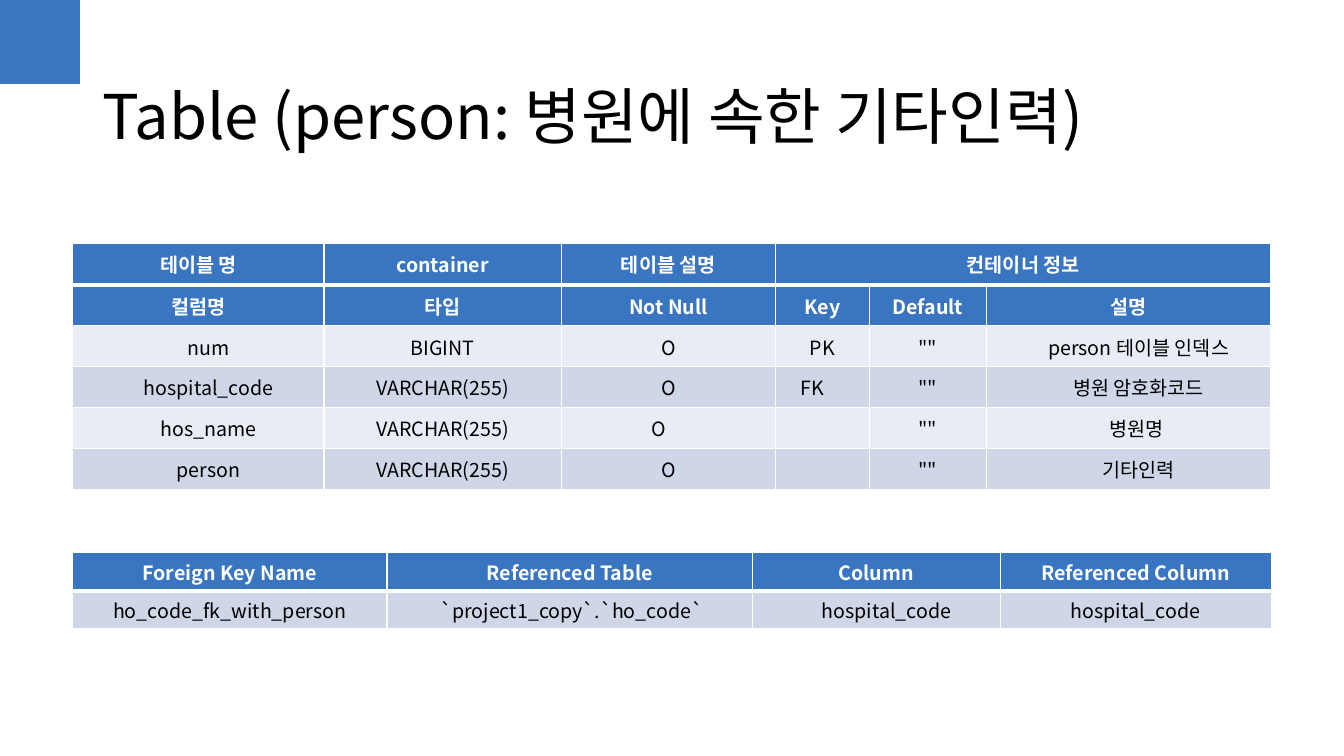
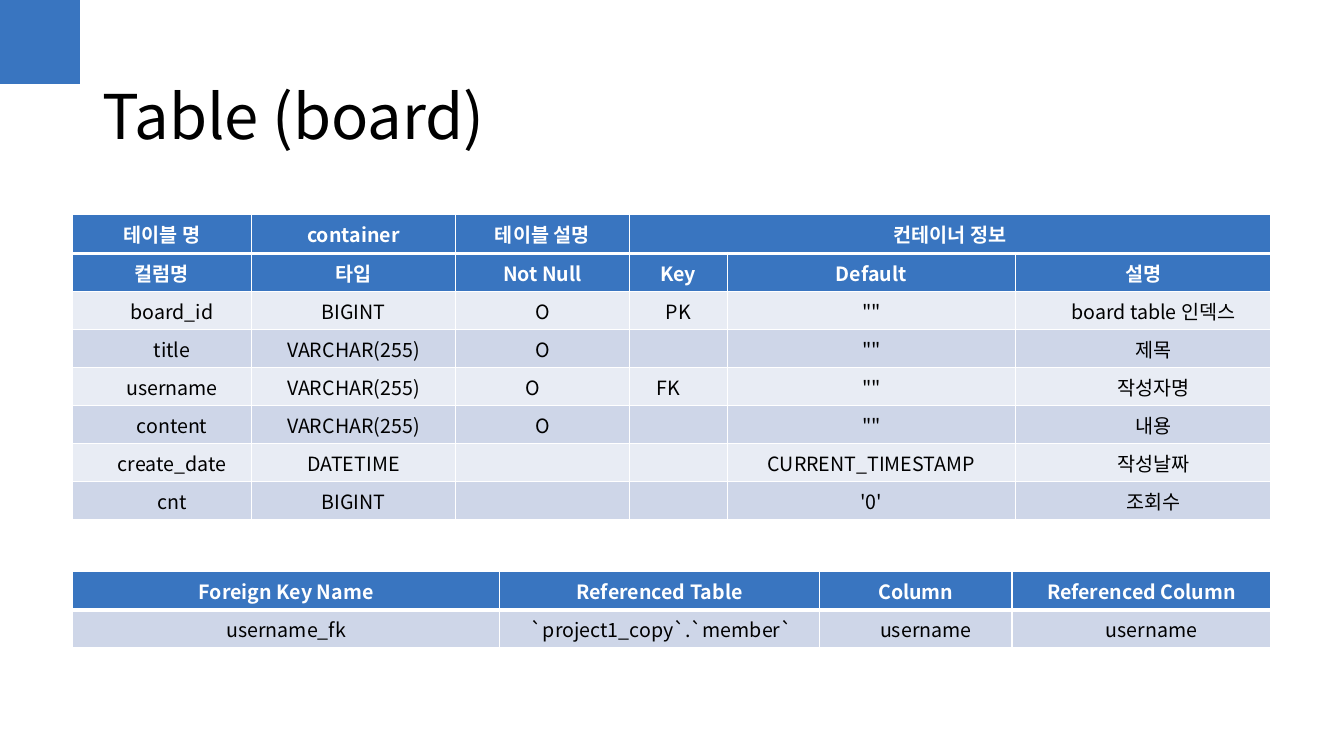
"""Build two slides that describe database tables and their foreign keys."""
import lxml.etree
import pptx
import pptx.dml.color
import pptx.enum.shapes
import pptx.enum.text
import pptx.oxml.ns
import pptx.util

Pt = pptx.util.Pt
RGBColor = pptx.dml.color.RGBColor
ALIGN = pptx.enum.text.PP_ALIGN
MIDDLE = pptx.enum.text.MSO_ANCHOR.MIDDLE
qn = pptx.oxml.ns.qn

BLUE = RGBColor(0x39, 0x75, 0xC0)
PALE = RGBColor(0xE8, 0xEC, 0xF4)
SOFT = RGBColor(0xCE, 0xD6, 0xE8)
WHITE = RGBColor(0xFF, 0xFF, 0xFF)
BLACK = RGBColor(0x00, 0x00, 0x00)
FONT = "Noto Sans CJK KR"

TITLE_BOX = {"left": Pt(66), "top": Pt(25), "width": Pt(828), "height": Pt(104.5)}
TITLE_FRAME = {"word_wrap": True, "vertical_anchor": MIDDLE,
               "auto_size": pptx.enum.text.MSO_AUTO_SIZE.NONE}
TITLE_FONT = {"size": Pt(44), "bold": False}
HEADER_FONT = {"size": Pt(14), "bold": True}
BODY_FONT = {"size": Pt(14), "bold": False}
TIGHT = {"margin_left": Pt(0.7), "margin_right": Pt(0.7),
         "margin_top": Pt(0.7), "margin_bottom": 0}
TABLE_LEFT = 52
INDENT = Pt(14.4)
KEY_ROW_HEIGHT = 26.6

COLUMN_HEADERS = [
    ["테이블 명", "container", "테이블 설명", "컨테이너 정보", "", ""],
    ["컬럼명", "타입", "Not Null", "Key", "Default", "설명"],
]
KEY_HEADERS = [["Foreign Key Name", "Referenced Table", "Column", "Referenced Column"]]

PAGES = [
    {
        "title": "Table (person: 병원에 속한 기타인력)",
        "columns": {
            "top": 174.2, "row_height": 29.2, "indented": {0, 5},
            "widths": [179.5, 169.5, 153, 67, 83.5, 203.5],
            "headers": COLUMN_HEADERS,
            "body": [
                ["num", "BIGINT", "O", "PK", '""', "person 테이블 인덱스"],
                ["hospital_code", "VARCHAR(255)", "O", "FK　", '""', "병원 암호화코드"],
                ["hos_name", "VARCHAR(255)", "O　", "", '""', "병원명 "],
                ["person", "VARCHAR(255)", "O", "", '""', "기타인력"],
            ],
        },
        "keys": {
            "top": 394.6, "row_height": KEY_ROW_HEIGHT, "indented": {2},
            "widths": [224.5, 261, 177, 193.5],
            "headers": KEY_HEADERS,
            "body": [["ho_code_fk_with_person", " `project1_copy`.`ho_code`",
                      "hospital_code", "hospital_code"]],
        },
    },
    {
        "title": "Table (board)",
        "columns": {
            "top": 153.4, "row_height": 27.2, "indented": {0, 5},
            "widths": [127.5, 146, 124, 70, 206, 182.5],
            "headers": COLUMN_HEADERS,
            "body": [
                ["board_id", "BIGINT", "O", "PK", '""', "board table 인덱스"],
                ["title", "VARCHAR(255)", "O", "", '""', "제목"],
                ["username", "VARCHAR(255)", "O　", "FK　", '""', "작성자명"],
                ["content", "VARCHAR(255)", "O", "", '""', "내용"],
                ["create_date", "DATETIME", "", "", "CURRENT_TIMESTAMP", "작성날짜"],
                ["cnt", "BIGINT", "", "", "'0'", "조회수"],
            ],
        },
        "keys": {
            "top": 408.2, "row_height": KEY_ROW_HEIGHT, "indented": {2, 3},
            "widths": [305, 228.5, 137.5, 185],
            "headers": KEY_HEADERS,
            "body": [["username_fk", " `project1_copy`.`member`", "username", "username"]],
        },
    },
]


def write(paragraph, text, color, font_values):
    run = paragraph.add_run()
    run.text = text
    run.font.color.rgb = color
    run.font.name = FONT
    for name, value in font_values.items():
        setattr(run.font, name, value)
    east_asian = lxml.etree.SubElement(run._r.get_or_add_rPr(), qn("a:ea"))
    east_asian.set("typeface", FONT)


def draw_borders(cell, top, bottom):
    properties = cell._tc.get_or_add_tcPr()
    for side, width in {"L": 1, "R": 1, "T": top, "B": bottom}.items():
        line = lxml.etree.SubElement(properties, qn(f"a:ln{side}"), w=str(Pt(width)))
        fill = lxml.etree.SubElement(line, qn("a:solidFill"))
        lxml.etree.SubElement(fill, qn("a:srgbClr"), val=str(WHITE))


deck = pptx.Presentation()
deck.slide_width = Pt(960)
deck.slide_height = Pt(540)

for page in PAGES:
    slide = deck.slides.add_slide(deck.slide_layouts[5])

    corner = slide.shapes.add_shape(
        pptx.enum.shapes.MSO_SHAPE.RECTANGLE, 0, 0, Pt(57), Pt(60))
    corner.shadow.inherit = False
    corner.fill.solid()
    corner.fill.fore_color.rgb = BLUE
    corner.line.fill.background()

    title = slide.shapes.title
    for name, value in TITLE_BOX.items():
        setattr(title, name, value)
    for name, value in TITLE_FRAME.items():
        setattr(title.text_frame, name, value)
    heading = title.text_frame.paragraphs[0]
    heading.alignment = ALIGN.LEFT
    heading.line_spacing = 1.18
    write(heading, page["title"], BLACK, TITLE_FONT)

    for section in (page["columns"], page["keys"]):
        rows = section["headers"] + section["body"]
        header_count = len(section["headers"])
        widths = section["widths"]
        table = slide.shapes.add_table(
            len(rows), len(widths), Pt(TABLE_LEFT), Pt(section["top"]),
            Pt(sum(widths)), Pt(section["row_height"] * len(rows))).table
        table.first_row = False
        table.horz_banding = False
        for column, width in zip(table.columns, widths):
            column.width = Pt(width)

        for r, row in enumerate(rows):
            table.rows[r].height = Pt(section["row_height"])
            is_header = r < header_count
            for c, text in enumerate(row):
                cell = table.cell(r, c)
                draw_borders(cell, 3 if r == 1 else 1, 3 if r == 0 else 1)
                cell.fill.solid()
                cell.fill.fore_color.rgb = BLUE if is_header else (PALE, SOFT)[r % 2]
                cell.vertical_anchor = MIDDLE
                if r > 0:
                    for name, value in TIGHT.items():
                        setattr(cell, name, value)
                if not text:
                    continue
                paragraph = cell.text_frame.paragraphs[0]
                paragraph.alignment = ALIGN.CENTER
                if not is_header and c in section["indented"]:
                    paragraph._p.get_or_add_pPr().set("marL", str(INDENT))
                write(paragraph, text, WHITE if is_header else BLACK,
                      HEADER_FONT if is_header else BODY_FONT)

        if header_count == 2:
            table.cell(0, 3).merge(table.cell(0, 5))

deck.save("out.pptx")
